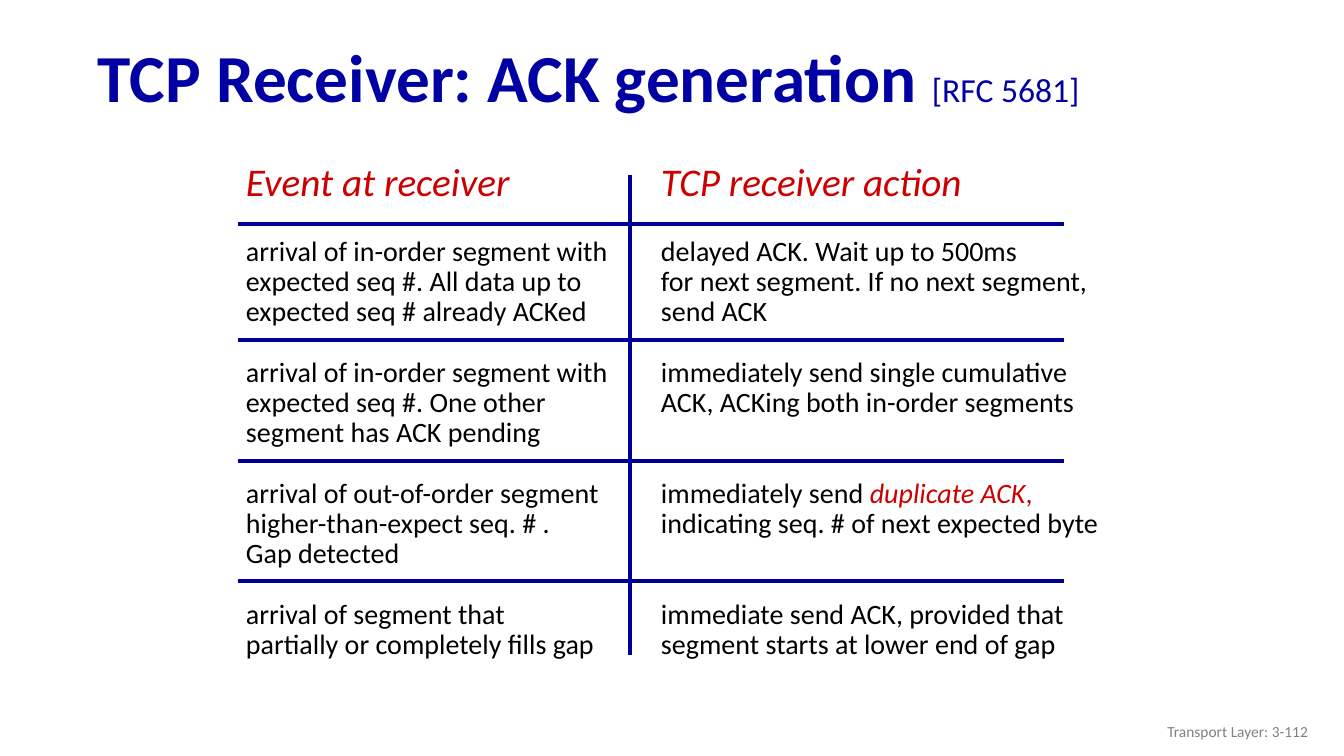
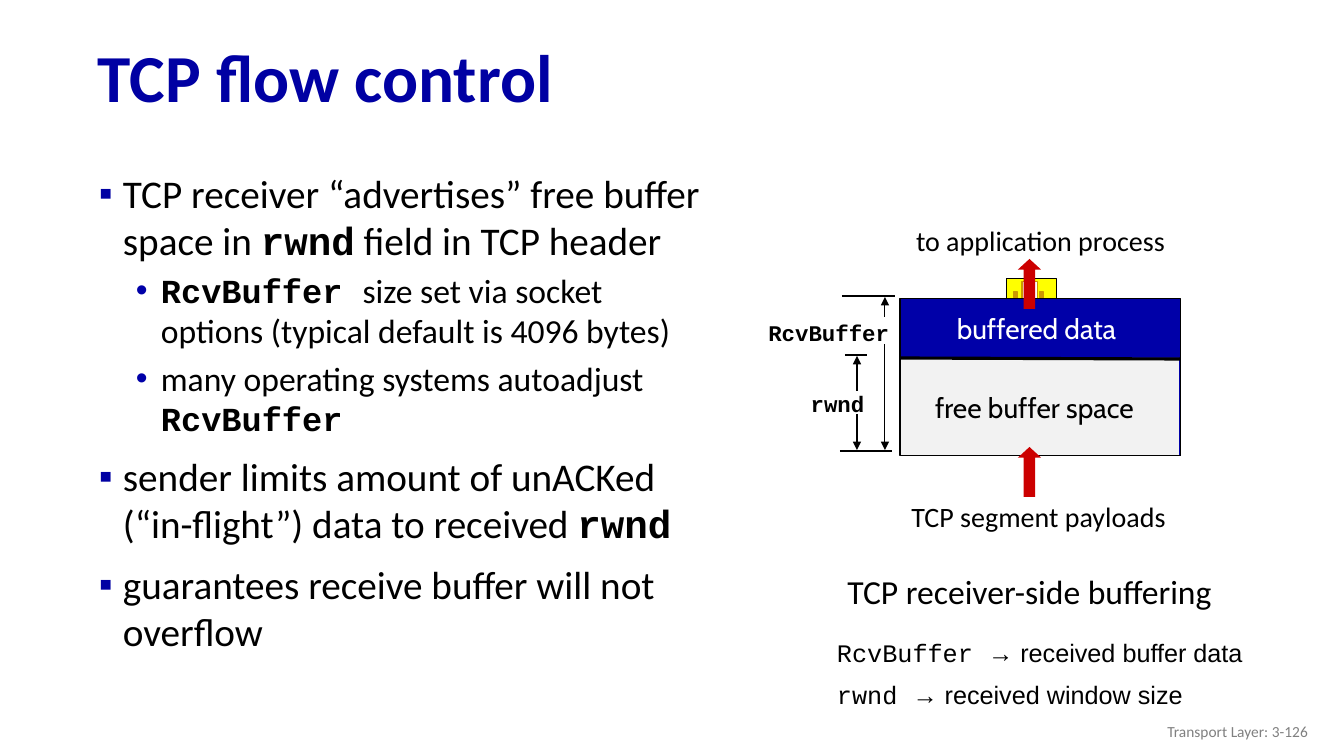
from dataclasses import dataclass

from lxml import etree
from pptx import Presentation
from pptx import util as u
from pptx.dml.color import RGBColor
from pptx.enum import shapes, text
from pptx.oxml import ns

PX = 914400 / 100.8
LEFT, CENTER, RIGHT = text.PP_ALIGN.LEFT, text.PP_ALIGN.CENTER, text.PP_ALIGN.RIGHT
TOP, MIDDLE = text.MSO_ANCHOR.TOP, text.MSO_ANCHOR.MIDDLE
RECT, UP_ARROW = shapes.MSO_SHAPE.RECTANGLE, shapes.MSO_SHAPE.UP_ARROW


@dataclass(frozen=True)
class Theme:
    """Colours, fonts and type sizes shared by the slides."""
    title: str = "0000A3"
    buffer: str = "0000A8"
    rule: str = "000099"
    accent: str = "CC0000"
    ink: str = "000000"
    white: str = "FFFFFF"
    footer: str = "808080"
    free: str = "F2F2F2"
    yellow: str = "FFFF00"
    gold: str = "CC9900"
    sans: str = "Calibri"
    label: str = "Cabin"
    mono: str = "Courier New"
    plain: str = "Arial"
    sz_title: int = 48
    sz_head: int = 28
    sz_sub: int = 24
    sz_body: int = 20
    sz_legend: int = 18
    sz_code: int = 16
    sz_footer: int = 11


T = Theme()
HEADS = ("Event at receiver", "TCP receiver action")
EVENTS = [
    (["arrival of in-order segment with", "expected seq #. All data up to",
      "expected seq # already ACKed"],
     ["delayed ACK. Wait up to 500ms", "for next segment. If no next segment,",
      "send ACK"]),
    (["arrival of in-order segment with", "expected seq #. One other",
      "segment has ACK pending"],
     ["immediately send single cumulative", "ACK, ACKing both in-order segments"]),
    (["arrival of out-of-order segment", "higher-than-expect seq. # .", "Gap detected"],
     [["immediately send ", ("duplicate ACK", dict(color=T.accent, italic=True)),
       (",", dict(color=T.accent))],
      "indicating seq. # of next expected byte"]),
    (["arrival of segment that", "partially or completely fills gap"],
     ["immediate send ACK, provided that", "segment starts at lower end of gap"]),
]
CODE = dict(font=T.mono, bold=True)
BULLETS = [
    (0, ["TCP receiver “advertises” free buffer space in ", ("rwnd", CODE),
         " field in TCP header"]),
    (1, [("RcvBuffer ", CODE), "size set via socket options (typical default is 4096 bytes)"]),
    (1, ["many operating systems autoadjust ", ("RcvBuffer", CODE)]),
    (0, ["sender limits amount of unACKed (“in-flight”) data to received ", ("rwnd", CODE)]),
    (0, ["guarantees receive buffer will not overflow"]),
]
LEVELS = [(39, -24, 10, "▪", T.title, T.sz_head), (77, -25, 5, "•", T.buffer, T.sz_sub)]


def px(v):
    """Turn px into EMU."""
    return u.Emu(round(v * PX))


def rgb(c):
    """Turn a hex string into a colour."""
    return RGBColor.from_string(c)


def style(r, size, color=T.ink, font=T.sans, bold=False, italic=False):
    """Format one run."""
    f = r.font
    f.size, f.name, f.bold, f.italic = u.Pt(size), font, bold, italic
    f.color.rgb = rgb(color)


def fill_paragraph(p, parts, **base):
    """Write a string, or a list of plain and styled parts, into a paragraph."""
    for part in [parts] if isinstance(parts, str) else parts:
        words, extra = (part, {}) if isinstance(part, str) else part
        r = p.add_run()
        r.text = words
        style(r, **{**base, **extra})


def add_lines(tf, lines, size, spacing=None, align=LEFT, **base):
    """Write one paragraph for each line."""
    for i, line in enumerate(lines):
        p = tf.add_paragraph() if i else tf.paragraphs[0]
        p.alignment, p.line_spacing = align, spacing
        fill_paragraph(p, line, size=size, **base)


def add_box(s, x, y, w, h, wrap=False, anchor=TOP):
    """Add an empty text box and return its text frame."""
    tf = s.shapes.add_textbox(px(x), px(y), px(w), px(h)).text_frame
    tf.word_wrap, tf.vertical_anchor = wrap, anchor
    return tf


def add_label(s, box, parts, size, align=CENTER, **base):
    """Add a one-line label in a box."""
    add_lines(add_box(s, *box), [parts], size, align=align, **base)


def add_block(s, x, y, w, h, fill, line=None, kind=RECT):
    """Add a filled shape with an optional thin outline."""
    sp = s.shapes.add_shape(kind, px(x), px(y), px(w), px(h))
    sp.shadow.inherit = False
    sp.fill.solid()
    sp.fill.fore_color.rgb = rgb(fill)
    if line:
        sp.line.color.rgb = rgb(line)
        sp.line.width = u.Pt(0.75)
    else:
        sp.line.fill.background()
    return sp


def add_line(s, x1, y1, x2, y2, color=T.ink, width=0.75, arrow=False):
    """Add a straight line, with an arrowhead at its end if asked."""
    c = s.shapes.add_connector(shapes.MSO_CONNECTOR.STRAIGHT, px(x1), px(y1), px(x2), px(y2))
    c.line.color.rgb = rgb(color)
    c.line.width = u.Pt(width)
    if arrow:
        etree.SubElement(c.line._get_or_add_ln(), ns.qn("a:tailEnd"), type="triangle")
    etree.SubElement(c._element.spPr, ns.qn("a:effectLst"))


def add_slide(prs, title, number):
    """Add a blank slide with the shared title and footer."""
    s = prs.slides.add_slide(prs.slide_layouts[6])
    tf = add_box(s, 88, 32, 1256, 98, True, MIDDLE)
    add_lines(tf, [title], T.sz_title, 0.9, color=T.title, bold=True)
    tf = add_box(s, 1016, 711, 302, 40, True, MIDDLE)
    add_lines(tf, [f"Transport Layer: {number}"], T.sz_footer, align=RIGHT, color=T.footer)
    return s


def ack_table(s, x, y):
    """Place the event and action table with its ruled lines."""
    edges = [y, y + 66, y + 182, y + 303, y + 423, y + 506]
    widths, insets = (394, 480), (10, 31)
    gf = s.shapes.add_table(5, 2, px(x), px(y), px(sum(widths)), px(edges[-1] - y))
    gf._element.xpath(".//a:tableStyleId")[0].text = "{2D5ABB26-0587-4C30-8999-92F81FD0307C}"
    tbl = gf.table
    tbl.first_row = tbl.horz_banding = False
    for j, w in enumerate(widths):
        tbl.columns[j].width = px(w)
    rows = [[[h] for h in HEADS]] + EVENTS
    for i, row in enumerate(rows):
        tbl.rows[i].height = px(edges[i + 1] - edges[i])
        text_top = y + 79 + 121 * (i - 1) if i else y + 5
        look = dict(size=T.sz_body) if i else dict(size=T.sz_head, color=T.accent, italic=True)
        for j, lines in enumerate(row):
            cell = tbl.cell(i, j)
            cell.fill.background()
            cell.margin_left, cell.margin_top = px(insets[j]), px(text_top - edges[i])
            cell.margin_right = cell.margin_bottom = 0
            add_lines(cell.text_frame, lines, spacing=0.88, **look)
    mid = x + widths[0]
    add_line(s, mid, y + 17, mid, y + 497, T.rule, 2.25)
    for edge in edges[1:-1]:
        add_line(s, x + 2, edge, x + 828, edge, T.rule, 2.25)


def bullet_list(s, x, y, w, h):
    """Place the two-level bullet list."""
    tf = add_box(s, x, y, w, h, True)
    for i, (lvl, parts) in enumerate(BULLETS):
        left, hang, before, char, color, size = LEVELS[lvl]
        p = tf.add_paragraph() if i else tf.paragraphs[0]
        p.level = lvl
        p.space_before = u.Pt(before if i else 0)
        ppr = p._p.get_or_add_pPr()
        ppr.set("marL", str(px(left)))
        ppr.set("indent", str(px(hang)))
        clr = etree.SubElement(ppr, ns.qn("a:buClr"))
        etree.SubElement(clr, ns.qn("a:srgbClr"), val=color)
        etree.SubElement(ppr, ns.qn("a:buFont"), typeface=T.plain)
        etree.SubElement(ppr, ns.qn("a:buChar"), char=char)
        fill_paragraph(p, parts, size=size)


def socket_icon(s, x, y):
    """Place the small socket behind the buffer's top edge."""
    add_block(s, x, y, 50, 23, T.yellow, T.ink)
    add_block(s, x + 15, y + 3, 16, 17, T.white, T.gold)
    for dx in (7, 33):
        add_block(s, x + dx, y + 13, 4, 6, T.gold, T.gold)


def buffer_diagram(s, x, y, w, h):
    """Place the receive buffer with its arrows and labels."""
    split = y + 59
    socket_icon(s, x + 107, y - 20)
    add_block(s, x, y, w, h, T.buffer, T.ink)
    add_block(s, x + 1, split, w - 3, h - 60, T.free)
    add_line(s, x, split, x + w, split + 1, width=2.25)
    for top in (y - 40, y + h - 9):
        sp = add_block(s, x + 118, top, 23, 50, T.accent, kind=UP_ARROW)
        sp.adjustments[0], sp.adjustments[1] = 0.5, 0.459
    add_label(s, (x - 4, y + 8, w, 43), "buffered data", T.sz_body, color=T.white, font=T.label)
    add_label(s, (x - 6, y + 87, w, 43), "free buffer space", T.sz_body, font=T.label)
    add_label(s, (x, y - 80, w, 44), "to application process", T.sz_body)
    add_label(s, (x - 2, y + h + 39, w, 44), "TCP segment payloads", T.sz_body)


def size_gauges(s, x, y, w, h):
    """Place the rwnd and RcvBuffer measures beside the buffer."""
    bottom = y + h
    for x1, x2, level in ((2, w, y), (5, 27, y + 59), (0, w - 3, bottom)):
        add_line(s, x + x1, level, x + x2, level, width=1.5)
    for dx, start, tip in ((17, 95, 60), (17, 118, h - 1), (45, 21, 1), (45, 48, h - 1)):
        add_line(s, x + dx, y + start, x + dx, y + tip, arrow=True)
    add_label(s, (x - 40, y + 89, 75, 37), "rwnd", T.sz_code, **CODE)
    add_label(s, (x - 82, y + 18, 141, 37), "RcvBuffer", T.sz_code, RIGHT, **CODE)


def captions(s, x, y):
    """Place the diagram's caption and the legend below it."""
    add_label(s, (x + 10, y, 393, 50), "TCP receiver-side buffering", T.sz_sub)
    legend = (("RcvBuffer ", "→ received buffer data"), ("rwnd ", "→ received window size"))
    for i, (name, meaning) in enumerate(legend):
        parts = [(name, dict(font=T.mono)), meaning]
        add_label(s, (x + 4, y + 66 + 42 * i, 480, 40), parts, T.sz_legend, LEFT, font=T.plain)


def ack_slide(prs):
    """Build the ACK generation slide."""
    rfc = ("[RFC 5681]", dict(size=T.sz_sub, bold=False))
    s = add_slide(prs, ["TCP Receiver: ACK generation ", rfc], "3-112")
    ack_table(s, 236, 158)


def flow_slide(prs):
    """Build the flow control slide."""
    s = add_slide(prs, "TCP flow control", "3-126")
    bullet_list(s, 74, 164, 642, 541)
    buffer_diagram(s, 900, 299, 281, 157)
    size_gauges(s, 840, 296, 55, 155)
    captions(s, 823, 566)


def main():
    """Build and save the presentation."""
    prs = Presentation()
    prs.slide_width, prs.slide_height = px(1344), px(756)
    ack_slide(prs)
    flow_slide(prs)
    prs.save("out.pptx")


if __name__ == "__main__":
    main()
